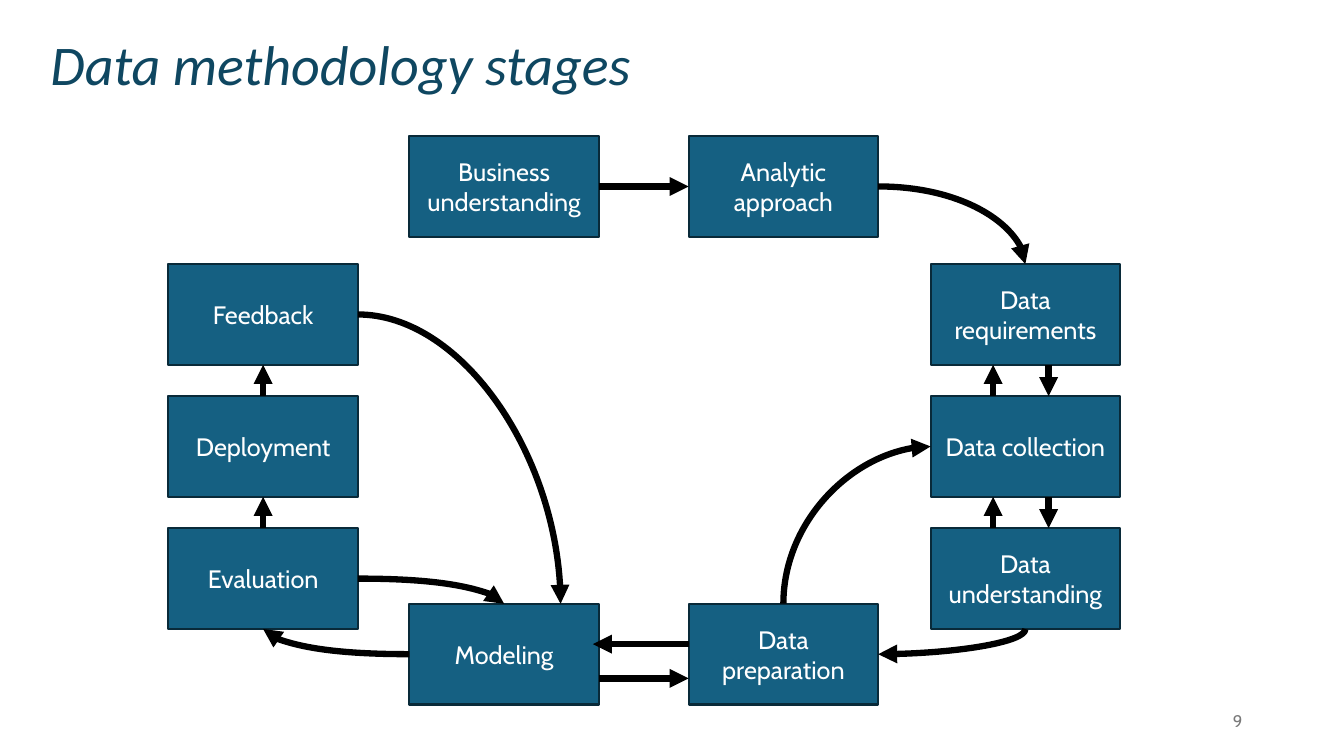
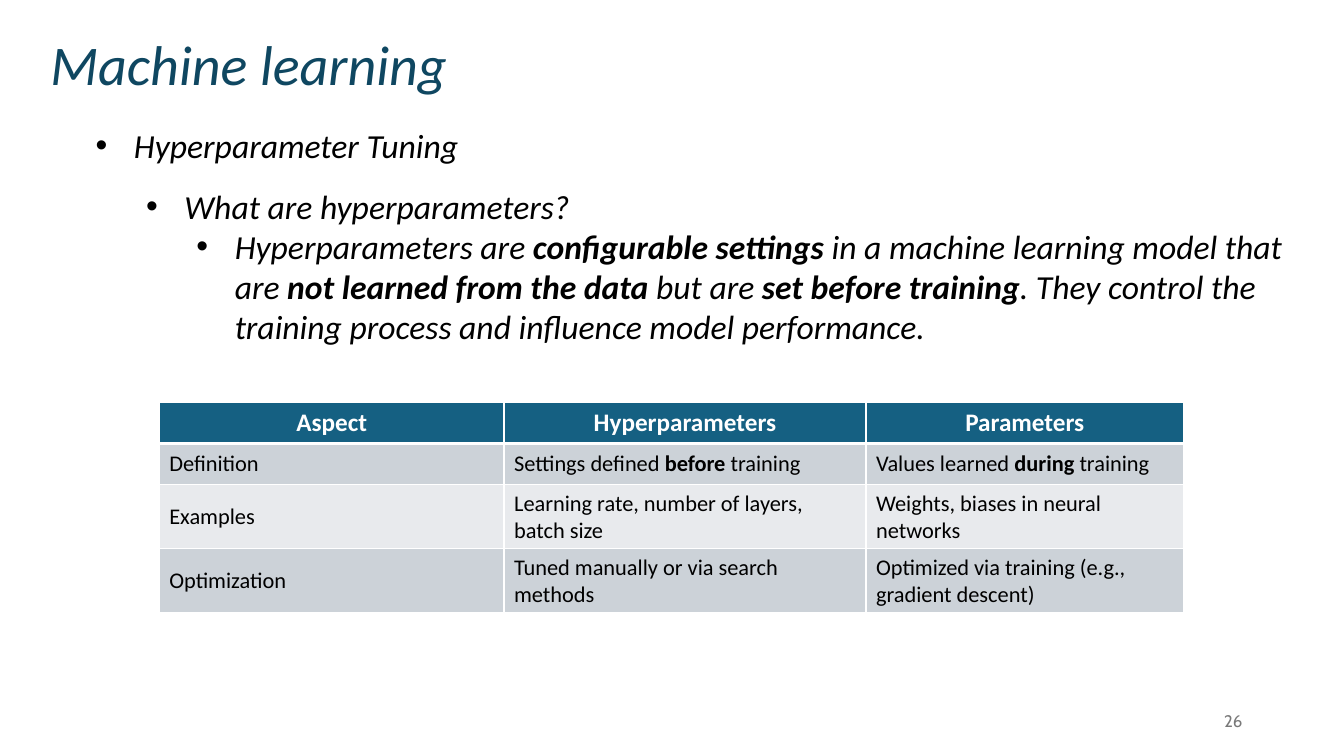
import pptx
import pptx.util
import pptx.dml.color
import pptx.enum.shapes
import pptx.enum.text
import pptx.oxml.ns
from lxml import etree

Inches, Pt = pptx.util.Inches, pptx.util.Pt
ALIGN = pptx.enum.text.PP_ALIGN
ANCHOR = pptx.enum.text.MSO_ANCHOR
CONNECTOR = pptx.enum.shapes.MSO_CONNECTOR
qn = pptx.oxml.ns.qn

COLORS = {"title": "0F4761", "box": "156082", "edge": "092A39", "text": "000000",
          "white": "FFFFFF", "number": "797979", "odd": "CCD2D8", "even": "E8EAED"}
BODY_FONT, LABEL_FONT = "Calibri", "Cabin"

# Stage diagram: box positions, then arrows between them
BOX_W, BOX_H = 1.88, 1
COLS = [1.67, 4.06, 6.83, 9.23]
TOP, BOTTOM = 1.35, 5.99
SIDE_ROWS = [2.62 + 1.31 * i for i in range(3)]
STAGES = {
    "Business understanding": (COLS[1], TOP),
    "Analytic approach": (COLS[2], TOP),
    "Data requirements": (COLS[3], SIDE_ROWS[0]),
    "Data collection": (COLS[3], SIDE_ROWS[1]),
    "Data understanding": (COLS[3], SIDE_ROWS[2]),
    "Data preparation": (COLS[2], BOTTOM),
    "Modeling": (COLS[1], BOTTOM),
    "Evaluation": (COLS[0], SIDE_ROWS[2]),
    "Deployment": (COLS[0], SIDE_ROWS[1]),
    "Feedback": (COLS[0], SIDE_ROWS[0]),
}
# Offsets inside a box, in connection site order: top, left, bottom, right
SITES = [(BOX_W / 2, 0), (0, BOX_H / 2), (BOX_W / 2, BOX_H), (BOX_W, BOX_H / 2)]
T, L, B, R = range(4)
JOINED = [
    ("Business understanding", R, "Analytic approach", L),
    ("Evaluation", T, "Deployment", B),
    ("Deployment", T, "Feedback", B),
]
UP_X, DOWN_X = 0.62, 1.17
OFFSET_ARROWS = [
    ("Modeling", (BOX_W, 0.74), "Data preparation", (0, 0.74)),
    ("Data preparation", (0, 0.4), "Modeling", (BOX_W - 0.06, 0.4)),
]
for upper, lower in [("Data requirements", "Data collection"),
                     ("Data collection", "Data understanding")]:
    OFFSET_ARROWS += [(upper, (DOWN_X, BOX_H), lower, (DOWN_X, 0)),
                      (lower, (UP_X, 0), upper, (UP_X, BOX_H))]
# Last value: the curve leaves its box vertically
CURVES = [
    ("Analytic approach", SITES[R], "Data requirements", SITES[T], False),
    ("Data preparation", SITES[T], "Data collection", SITES[L], True),
    ("Data understanding", SITES[B], "Data preparation", SITES[R], True),
    ("Modeling", SITES[L], "Evaluation", SITES[B], False),
    ("Evaluation", SITES[R], "Modeling", SITES[T], False),
    ("Feedback", SITES[R], "Modeling", (1.5, 0), False),
]

# Text and table; ** marks bold
BULLETS = [
    ("Hyperparameter Tuning", 1.5),
    ("What are hyperparameters?", 1.5),
    ("Hyperparameters are **configurable settings** in a machine learning model that are "
     "**not learned from the data** but are **set before training**. They control the "
     "training process and influence model performance.", 1.0),
]
TABLE = [
    ("Aspect", "Hyperparameters", "Parameters"),
    ("Definition", "Settings defined **before** training", "Values learned **during** training"),
    ("Examples", "Learning rate, number of layers, batch size",
     "Weights, biases in neural networks"),
    ("Optimization", "Tuned manually or via search methods",
     "Optimized via training (e.g., gradient descent)"),
]
COL_WIDTHS = [3.42, 3.59, 3.15]
ROW_HEIGHTS = [0.41, 0.41, 0.63, 0.63]


def rgb(name):
    return pptx.dml.color.RGBColor.from_string(COLORS[name])


def write(p, text, size, color, font=BODY_FONT, italic=False, bold=False):
    for i, part in enumerate(text.split("**")):
        r = p.add_run()
        r.text = part
        f = r.font
        f.size, f.name, f.italic = Pt(size), font, italic
        f.bold = bold or i % 2 == 1
        f.color.rgb = rgb(color)


def add_text_box(s, x, y, w, h):
    tf = s.shapes.add_textbox(Inches(x), Inches(y), Inches(w), Inches(h)).text_frame
    tf.word_wrap = True
    return tf


def add_slide(prs, title, number):
    s = prs.slides.add_slide(prs.slide_layouts[6])
    tf = add_text_box(s, 0, 0.01, 7.24, 0.98)
    tf.margin_left = tf.margin_right = 0
    tf.margin_top, tf.margin_bottom = Inches(0.24), Inches(0.05)
    p = tf.paragraphs[0]
    p.line_spacing, p.space_after = 1.07, Pt(8)
    p._p.get_or_add_pPr().set("marL", str(Inches(0.5)))
    write(p, title, 40, "title", italic=True)

    tf = add_text_box(s, 9.42, 6.95, 3, 0.4)
    tf.vertical_anchor = ANCHOR.MIDDLE
    tf.paragraphs[0].alignment = ALIGN.RIGHT
    write(tf.paragraphs[0], str(number), 12, "number", LABEL_FONT)
    return s


def add_stage(s, name, x, y):
    sp = s.shapes.add_shape(pptx.enum.shapes.MSO_SHAPE.RECTANGLE,
                            Inches(x), Inches(y), Inches(BOX_W), Inches(BOX_H))
    sp.shadow.inherit = False
    sp.fill.solid()
    sp.fill.fore_color.rgb = rgb("box")
    sp.line.color.rgb = rgb("edge")
    sp.line.width = Pt(1.5)
    tf = sp.text_frame
    tf.word_wrap, tf.vertical_anchor = True, ANCHOR.MIDDLE
    tf.paragraphs[0].alignment = ALIGN.CENTER
    write(tf.paragraphs[0], name, 18, "white", LABEL_FONT)
    return sp


def point(stage, offset):
    return tuple(a + b for a, b in zip(STAGES[stage], offset))


def add_arrow(s, start, end, kind=CONNECTOR.STRAIGHT):
    c = s.shapes.add_connector(kind, *(Inches(v) for v in start + end))
    c.line.color.rgb = rgb("text")
    c.line.width = Pt(4.5)
    etree.SubElement(c.line._get_or_add_ln(), qn("a:tailEnd"), type="triangle")
    etree.SubElement(c._element.spPr, qn("a:effectLst"))
    return c


def add_curve(s, start, end, vertical_first):
    if vertical_first:
        # Turn the end points back a quarter about the centre; rotation restores them
        cx, cy = (start[0] + end[0]) / 2, (start[1] + end[1]) / 2
        start, end = [(cx + y - cy, cy - x + cx) for x, y in (start, end)]
    c = add_arrow(s, start, end, CONNECTOR.CURVE)
    spPr = c._element.spPr
    spPr.find(qn("a:prstGeom")).set("prst", "curvedConnector2")
    if vertical_first:
        spPr.find(qn("a:xfrm")).set("rot", str(90 * 60000))


def add_bullets(s):
    tf = add_text_box(s, 0.35, 0.99, 12.52, 2.52)
    for level, (text, spacing) in enumerate(BULLETS):
        p = tf.add_paragraph() if level else tf.paragraphs[0]
        p.level, p.line_spacing = level, spacing
        pPr = p._p.get_or_add_pPr()
        pPr.set("marL", str(Inches(0.88 + 0.5 * level)))
        pPr.set("indent", str(Inches(-0.38)))
        etree.SubElement(pPr, qn("a:buFont"), typeface="Arial")
        etree.SubElement(pPr, qn("a:buChar"), char="•")
        write(p, text, 24, "text", italic=True)


def set_borders(cell, widths):
    tcPr = cell._tc.get_or_add_tcPr()
    for side, width in widths.items():
        ln = etree.SubElement(tcPr, qn("a:ln" + side), w=str(Pt(width)))
        fill = etree.SubElement(ln, qn("a:solidFill"))
        etree.SubElement(fill, qn("a:srgbClr"), val=COLORS["white"])


def add_comparison(s):
    table = s.shapes.add_table(len(TABLE), len(COL_WIDTHS), Inches(1.58), Inches(3.99),
                               Inches(sum(COL_WIDTHS)), Inches(sum(ROW_HEIGHTS))).table
    for col, w in zip(table.columns, COL_WIDTHS):
        col.width = Inches(w)
    for i, (row, h) in enumerate(zip(table.rows, ROW_HEIGHTS)):
        row.height = Inches(h)
        header = i == 0
        for cell, text in zip(row.cells, TABLE[i]):
            set_borders(cell, {"L": 1, "R": 1, "T": 3 if i == 1 else 1, "B": 3 if header else 1})
            cell.fill.solid()
            cell.fill.fore_color.rgb = rgb("box" if header else "odd" if i % 2 else "even")
            cell.vertical_anchor = ANCHOR.MIDDLE
            p = cell.text_frame.paragraphs[0]
            p.alignment = ALIGN.CENTER if header else ALIGN.LEFT
            write(p, text, 18 if header else 16, "white" if header else "text", bold=header)


def main():
    prs = pptx.Presentation()
    prs.slide_width, prs.slide_height = Inches(13.33), Inches(7.5)

    # Methodology stages
    s = add_slide(prs, "Data methodology stages", 9)
    boxes = {name: add_stage(s, name, x, y) for name, (x, y) in STAGES.items()}
    for a, a_site, b, b_site in JOINED:
        c = add_arrow(s, point(a, SITES[a_site]), point(b, SITES[b_site]))
        c.begin_connect(boxes[a], a_site)
        c.end_connect(boxes[b], b_site)
    for a, a_offset, b, b_offset in OFFSET_ARROWS:
        add_arrow(s, point(a, a_offset), point(b, b_offset))
    for a, a_offset, b, b_offset, vertical_first in CURVES:
        add_curve(s, point(a, a_offset), point(b, b_offset), vertical_first)

    # Hyperparameters
    s = add_slide(prs, "Machine learning", 26)
    add_bullets(s)
    add_comparison(s)

    prs.save("out.pptx")


if __name__ == "__main__":
    main()
